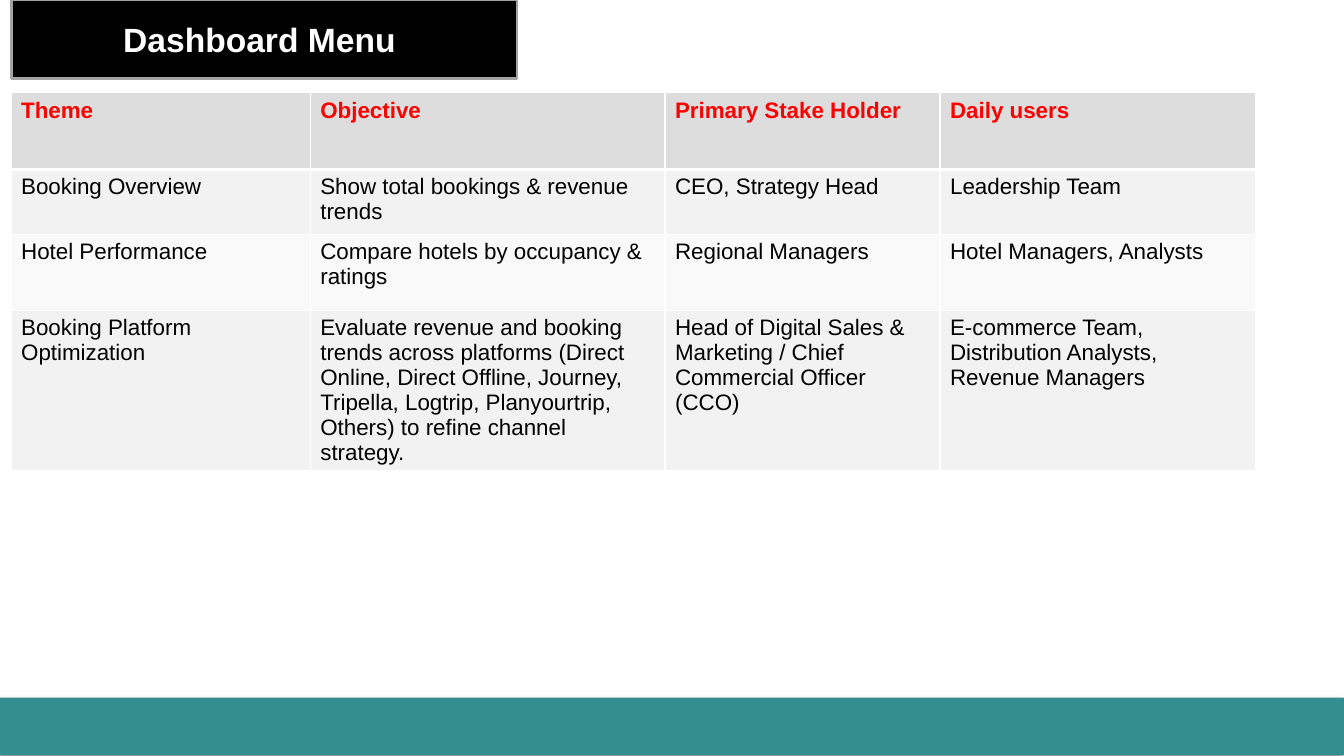
from lxml import etree
from pptx import Presentation
from pptx import util as u
from pptx.dml.color import RGBColor
from pptx.enum import shapes, text
from pptx.oxml import parse_xml
from pptx.oxml.ns import nsdecls, qn

FONT = "Arial"
COLUMN_WIDTHS = [7.54, 8.94, 6.93, 7.95]
ROW_HEIGHTS = [1.93, 1.63, 1.93, 4.0]
ROW_FILLS = ["DDDDDD", "F2F2F2", "F9F9F9", "F2F2F2"]
MENU = [
    ["Theme", "Objective", "Primary Stake Holder", "Daily users"],
    ["Booking Overview", "Show total bookings & revenue trends",
     "CEO, Strategy Head", "Leadership Team"],
    ["Hotel Performance", "Compare hotels by occupancy & ratings",
     "Regional Managers", "Hotel Managers, Analysts"],
    ["Booking Platform Optimization",
     "Evaluate revenue and booking trends across platforms (Direct Online, "
     "Direct Offline, Journey, Tripella, Logtrip, Planyourtrip, Others) "
     "to refine channel strategy.",
     "Head of Digital Sales & Marketing / Chief Commercial Officer (CCO)",
     "E-commerce Team, Distribution Analysts, Revenue Managers"],
]


def paint(color_format, hex_color):
    color_format.rgb = RGBColor.from_string(hex_color)


def fill_with(item, hex_color):
    item.fill.solid()
    paint(item.fill.fore_color, hex_color)


def style(paragraph, size, hex_color, bold):
    font = paragraph.font
    font.name, font.size, font.bold = FONT, u.Pt(size), bold
    paint(font.color, hex_color)


def add_footer_band(slide, left, top, width, height):
    band = slide.shapes.add_shape(shapes.MSO_SHAPE.RECTANGLE, left, top, width, height)
    fill_with(band, "348E90")
    band.line.fill.background()
    # Soft shadow
    band.shadow.inherit = False
    effects = band._element.spPr.find(qn("a:effectLst"))
    effects.append(parse_xml(
        f'<a:outerShdw {nsdecls("a")} blurRad="{u.Pt(4)}" dist="{u.Pt(3)}" '
        f'dir="{135 * 60000}"><a:srgbClr val="000000"><a:alpha val="40000"/>'
        '</a:srgbClr></a:outerShdw>'))


def add_heading(slide, left, top, width, height):
    heading = slide.shapes.title
    heading.left, heading.top, heading.width, heading.height = left, top, width, height
    fill_with(heading, "000000")
    paint(heading.line.color, "A3A3A3")
    heading.line.width = u.Pt(2)
    frame = heading.text_frame
    frame.text = "Dashboard Menu "
    frame.auto_size = text.MSO_AUTO_SIZE.NONE
    frame.vertical_anchor = text.MSO_ANCHOR.MIDDLE
    frame.paragraphs[0].alignment = text.PP_ALIGN.CENTER
    style(frame.paragraphs[0], 24, "FFFFFF", True)


def set_borders(cell, widths):
    properties = cell._tc.get_or_add_tcPr()
    for side, points in widths.items():
        border = etree.SubElement(properties, qn(f"a:ln{side}"), w=str(u.Pt(points)))
        solid = etree.SubElement(border, qn("a:solidFill"))
        etree.SubElement(solid, qn("a:srgbClr"), val="FFFFFF")


def add_menu_table(slide, left, top, width, height):
    menu = slide.shapes.add_table(len(MENU), len(MENU[0]), left, top, width, height).table
    for column, column_width in zip(menu.columns, COLUMN_WIDTHS):
        column.width = u.Cm(column_width)
    for r, entries in enumerate(MENU):
        menu.rows[r].height = u.Cm(ROW_HEIGHTS[r])
        is_header = r == 0
        for c, entry in enumerate(entries):
            cell = menu.cell(r, c)
            cell.text = entry
            style(cell.text_frame.paragraphs[0], 16,
                  "FF0000" if is_header else "000000", is_header)
            # A thick rule parts the header from the body
            set_borders(cell, {"L": 1, "R": 1, "T": 3 if r == 1 else 1,
                               "B": 3 if is_header else 1})
            fill_with(cell, ROW_FILLS[r])


def main():
    deck = Presentation()
    deck.slide_width, deck.slide_height = u.Cm(33.87), u.Cm(19.05)
    slide = deck.slides.add_slide(deck.slide_layouts[5])
    add_footer_band(slide, 0, u.Cm(17.58), deck.slide_width, u.Cm(1.45))
    add_heading(slide, u.Cm(0.28), 0, u.Cm(12.75), u.Cm(1.98))
    add_menu_table(slide, u.Cm(0.28), u.Cm(2.34),
                   u.Cm(sum(COLUMN_WIDTHS)), u.Cm(sum(ROW_HEIGHTS)))
    deck.save("out.pptx")


if __name__ == "__main__":
    main()
